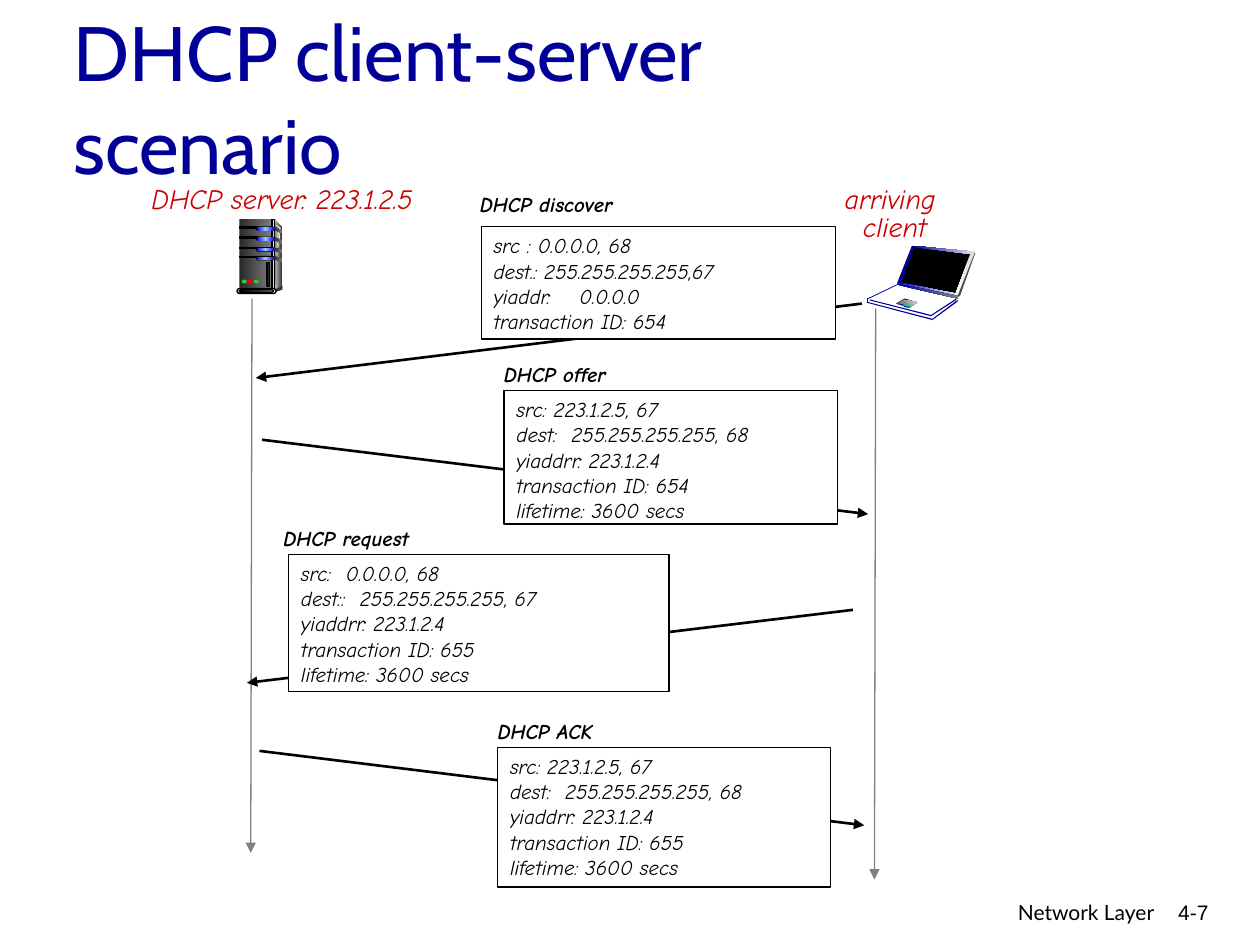
from copy import deepcopy
from lxml import etree
from pptx import Presentation
from pptx.dml.color import RGBColor
from pptx.enum.shapes import MSO_CONNECTOR, MSO_SHAPE
from pptx.enum.text import MSO_ANCHOR, PP_ALIGN
from pptx.oxml.ns import qn
from pptx.util import Pt

RECT, PILL, OVAL = MSO_SHAPE.RECTANGLE, MSO_SHAPE.ROUNDED_RECTANGLE, MSO_SHAPE.OVAL
LEFT, MID, RIGHT = PP_ALIGN.LEFT, PP_ALIGN.CENTER, PP_ALIGN.RIGHT
TOP, MIDDLE = MSO_ANCHOR.TOP, MSO_ANCHOR.MIDDLE
STRAIGHT = MSO_CONNECTOR.STRAIGHT


class Theme:
    hand, head, foot, page = "Comic Neue", "Cabin", "Lato", "Arial"
    big, mid, small = 44, 16, 12
    navy, red, black, white, gray = "000099", "CC0000", "000000", "FFFFFF", "808080"
    dark, coal, ash, pale = "292929", "333333", "4D4D4D", "DDDDDD"
    teal, green, lamp = "00CC99", "33CC33", "FF0000"
    edge = (navy, "EAEAEA")
    base = ("0000CC", white)
    glow = ("0000FF", "99CCFF", "0000FF")
    thin, thick = 0.75, 1.5


T = Theme
# Tab stop after each field name whose value is set apart
STOPS = {"src:": 25.7, "dest:": 31.4, "dest::": 33.7, "yiaddr:": 49}


def paint(shape, fill, line=None, angle=0):
    """Fill with one colour or, for a tuple, a linear gradient."""
    shape.shadow.inherit = False
    if isinstance(fill, tuple):
        shape.fill.gradient()
        shape.fill.gradient_angle = -angle % 360
        first = shape._element.spPr.find(".//" + qn("a:gs"))
        for _ in fill[2:]:
            first.addnext(deepcopy(first))
        for i, (stop, tone) in enumerate(zip(shape.fill.gradient_stops, fill)):
            stop.position = i / (len(fill) - 1)
            stop.color.rgb = RGBColor.from_string(tone)
    else:
        shape.fill.solid()
        shape.fill.fore_color.rgb = RGBColor.from_string(fill)
    if line:
        shape.line.color.rgb = RGBColor.from_string(line)
        shape.line.width = Pt(T.thin)
    else:
        shape.line.fill.background()


def write(frame, lines, face, size, tone, align=LEFT, bold=None, slant=None,
          wrap=True, gap=None, anchor=TOP):
    frame.word_wrap = wrap
    frame.vertical_anchor = anchor
    for i, line in enumerate(lines):
        par = frame.add_paragraph() if i else frame.paragraphs[0]
        par.text = line
        if "\t" in line:
            tabs = etree.SubElement(par._p.get_or_add_pPr(), qn("a:tabLst"))
            stop = Pt(STOPS[line.split("\t")[0]])
            etree.SubElement(tabs, qn("a:tab"), pos=str(stop), algn="l")
        par.alignment = align
        if gap:
            par.line_spacing = gap
        font = par.font
        font.name, font.size, font.bold, font.italic = face, Pt(size), bold, slant
        font.color.rgb = RGBColor.from_string(tone)


deck = Presentation()
deck.slide_width, deck.slide_height = Pt(720), Pt(540)
slide = deck.slides.add_slide(deck.slide_layouts[5])
shapes = slide.shapes

# Title
title = shapes.title
title.left, title.top, title.width, title.height = Pt(34.6), Pt(20.2), Pt(537.1), Pt(70.6)
write(title.text_frame, ["DHCP client-server scenario"], T.head, T.big, T.navy,
      anchor=MIDDLE)

# Footer and names of the two hosts
for box, lines, style in [
    ((438.5, 510.5, 228.2, 36), ["Network Layer"], (T.foot, T.small, T.black, RIGHT)),
    ((644.4, 510.5, 53.3, 36), ["4-7"], (T.page, T.small, T.black, RIGHT)),
    ((69.1, 100.1, 184.3, 26.6), ["DHCP server: 223.1.2.5"],
     (T.hand, T.mid, T.red, MID, None, True, False)),
    ((475.2, 103, 67, 40.3), ["arriving", " client"],
     (T.hand, T.mid, T.red, MID, None, True, False, 0.85)),
]:
    write(shapes.add_textbox(*map(Pt, box)).text_frame, lines, *style)

# Time lines, then each message with its arrow, label and fields
axes = [((144, 170.6, 143.3, 487.4), T.gray, T.thin, None),
        ((500.4, 176.4, 499.7, 502.6), T.gray, T.thin, None)]
steps = [
    ((492.5, 173.5, 146.2, 216), "DHCP discover", (267.1, 105.8, 116.6, 33.8),
     (275, 129.6, 202.3, 64.1),
     ["src : 0.0.0.0, 68", "dest.: 255.255.255.255,67", "yiaddr:\t0.0.0.0",
      "transaction ID: 654"]),
    ((149.8, 251.3, 496.1, 293.8), "DHCP offer", (280.8, 203, 108.7, 25.9),
     (288, 223.2, 190.8, 76.3),
     ["src: 223.1.2.5, 67", "dest:\t255.255.255.255, 68", "yiaddrr: 223.1.2.4",
      "transaction ID: 654", "lifetime: 3600 secs"]),
    ((487.4, 348.5, 141.1, 390.2), "DHCP request", (154.8, 296.6, 108.7, 25.9),
     (164.9, 316.8, 217.4, 78.5),
     ["src:\t0.0.0.0, 68", "dest::\t255.255.255.255, 67", "yiaddrr: 223.1.2.4",
      "transaction ID: 655", "lifetime: 3600 secs"]),
    ((148.3, 429.1, 493.9, 471.6), "DHCP ACK", (277.2, 406.8, 108.7, 25.9),
     (284.4, 427, 190.1, 79.9),
     ["src: 223.1.2.5, 67", "dest:\t255.255.255.255, 68", "yiaddrr: 223.1.2.4",
      "transaction ID: 655", "lifetime: 3600 secs"]),
]
for ends, tone, width, step in axes + [(s[0], T.black, T.thick, s[1:]) for s in steps]:
    arrow = shapes.add_connector(STRAIGHT, *map(Pt, ends))
    arrow.line.color.rgb = RGBColor.from_string(tone)
    arrow.line.width = Pt(width)
    etree.SubElement(arrow.line._get_or_add_ln(), qn("a:tailEnd"), type="triangle")
    etree.SubElement(arrow._element.spPr, qn("a:effectLst"))
    if step:
        name, tag, box, rows = step
        for spot, lines, edge, bold in [(tag, [name], None, True), (box, rows, T.black, None)]:
            card = shapes.add_shape(RECT, *map(Pt, spot))
            paint(card, T.white, edge)
            write(card.text_frame, lines, T.hand, T.small, T.black, bold=bold, slant=True)

# Laptop: outlines as (None, points, fill, line, angle)
laptop = [
    (None, [(521.3, 141.1), (513.4, 161.3), (547.2, 169.2), (555.8, 144.7)], T.black, T.black),
    (None, [(521.3, 140.4), (557.3, 144), (556.6, 145.4), (521.3, 141.1)], T.edge),
    (None, [(521.3, 140.4), (512.6, 162), (514.8, 162), (522.7, 141.1)], T.navy),
    (None, [(556.6, 144), (547.9, 169.2), (545.8, 168.5), (554.4, 145.4)],
     (T.pale, T.white), None, 90),
    (None, [(513.4, 161.3), (512.6, 162), (547.2, 169.2), (548.6, 168.3), (546.5, 167.8)], T.base),
    (None, [(557.3, 144.7), (548.6, 169.2), (547.2, 169.2), (556.9, 144.7)], T.ash),
    (None, [(512.6, 162), (512.6, 162.7), (547.2, 170.6), (547.9, 169.2)], (T.navy, T.gray)),
    (None, [(517, 170.6), (524.2, 172.8), (519.8, 175.7), (511.9, 173.5)], T.navy),
    (None, [(517, 171.4), (524.2, 172.8), (519.8, 175.7), (512.6, 173.5)],
     (T.ash, T.pale), None, 315),
    (None, [(513.4, 173.5), (514.1, 172.8), (517, 173.5), (516.2, 174.2)], T.teal),
    (None, [(513.4, 173.3), (516.2, 174), (516.2, 174.4), (513.4, 173.7)], T.navy),
    (None, [(516.2, 174.2), (517.7, 173.5), (520.6, 175), (519.8, 175.7)], T.teal),
    (None, [(516.6, 174.8), (519.6, 175.6), (519.1, 175.9), (516.2, 175.2)], T.navy),
    (None, [(532.8, 182.2), (547.2, 171.4), (547.2, 172.4), (532.8, 182.9)], T.navy),
    (None, [(495.4, 172.6), (496.1, 172.6), (532.8, 182.2), (532.8, 182.9), (495.4, 173)], T.navy),
    (None, [(496.1, 170.6), (496.1, 172.8), (495.4, 172.8), (495.4, 170.6)], T.navy),
    (None, [(512.6, 162.5), (496.1, 170.4), (496.1, 170.9), (512.6, 163)], T.navy),
    (None, [(496.8, 171.2), (497.5, 171.2), (532.1, 180), (532.1, 180.7), (496.8, 171.6)], T.navy),
    (None, [(532.1, 180.7), (546.5, 171.4), (546.5, 170.6), (532.1, 180)], T.navy),
]

# Server: body, four drive bays, foot and lamps
server = [
    (None, [(157, 125.3), (161.3, 130.3), (161.3, 164.2), (156.2, 165.6)], (T.pale, T.coal)),
    (RECT, (136.8, 125.3, 19.4, 40.3), (T.dark, T.gray)),
    (None, [(157, 127.4), (158, 128.2), (160.6, 131), (158.4, 144), (157, 164.2)],
     (T.gray, "F8F8F8")),
    (RECT, (155.5, 125.3, 1.4, 40.3), (T.coal, T.pale, T.coal), T.black),
]
for y, lean in [(129.6, 2.2), (135.4, 2.2), (141.5, 1.4), (146.5, 1.4)]:
    server += [
        (RECT, (136.8, y, 10.8, 0.7), T.black, T.black),
        (PILL, (146.2, y - 0.2, 10.8, 2.5), T.black),
        (PILL, (146.7, y + 0.1, 10.1, 2), T.glow),
        (None, [(156.6, y), (161.3, y + lean), (161.3, y + lean + 1.6), (156.6, y + 1.6)],
         (T.dark, T.gray)),
    ]
server += [
    (OVAL, (160.6, 163.4, 0.7, 1.4), T.coal),
    (None, [(157, 165.6), (157, 167), (161.3, 165.6), (161.3, 163.4)], T.coal),
    (PILL, (135.4, 164.9, 22.3, 2.9), T.pale, T.black),
    (PILL, (136.8, 165.6, 19.4, 1.4), (T.black, T.gray), T.black),
    (RECT, (152.6, 149.8, 1.4, 13.7), T.dark, T.black),
]
server += [(OVAL, (x, 159.8, 2.9, 2.2), tone)
           for x, tone in [(138.2, T.green), (141.6, T.lamp), (145, T.green)]]

# Draw both icons as groups
for icon in (laptop, server):
    group = shapes.add_group_shape()
    for kind, spots, *look in icon:
        if kind is None:
            dots = [(Pt(x), Pt(y)) for x, y in spots]
            pen = group.shapes.build_freeform(*dots[0])
            pen.add_line_segments(dots[1:], close=True)
            part = pen.convert_to_shape()
        else:
            part = group.shapes.add_shape(kind, *map(Pt, spots))
            if kind == PILL:
                part.adjustments[0] = 0.5
        paint(part, *look)

deck.save("out.pptx")
